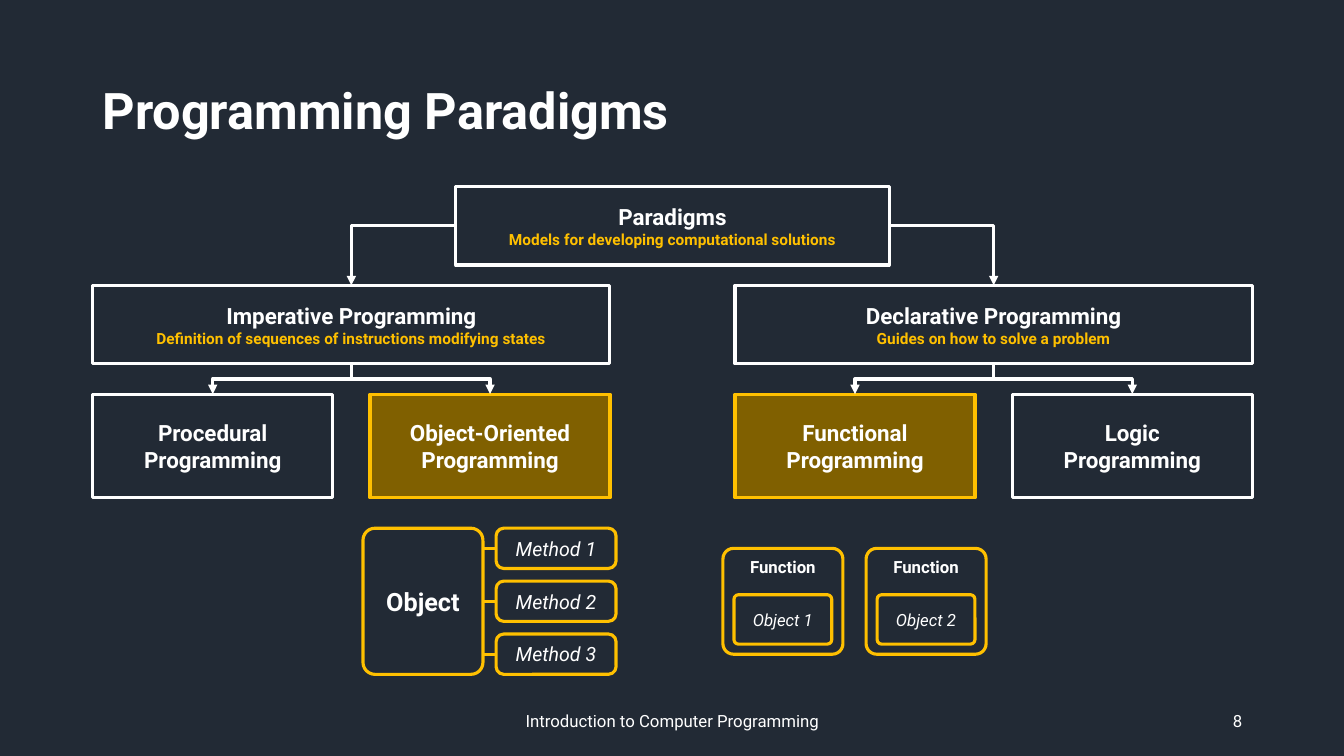
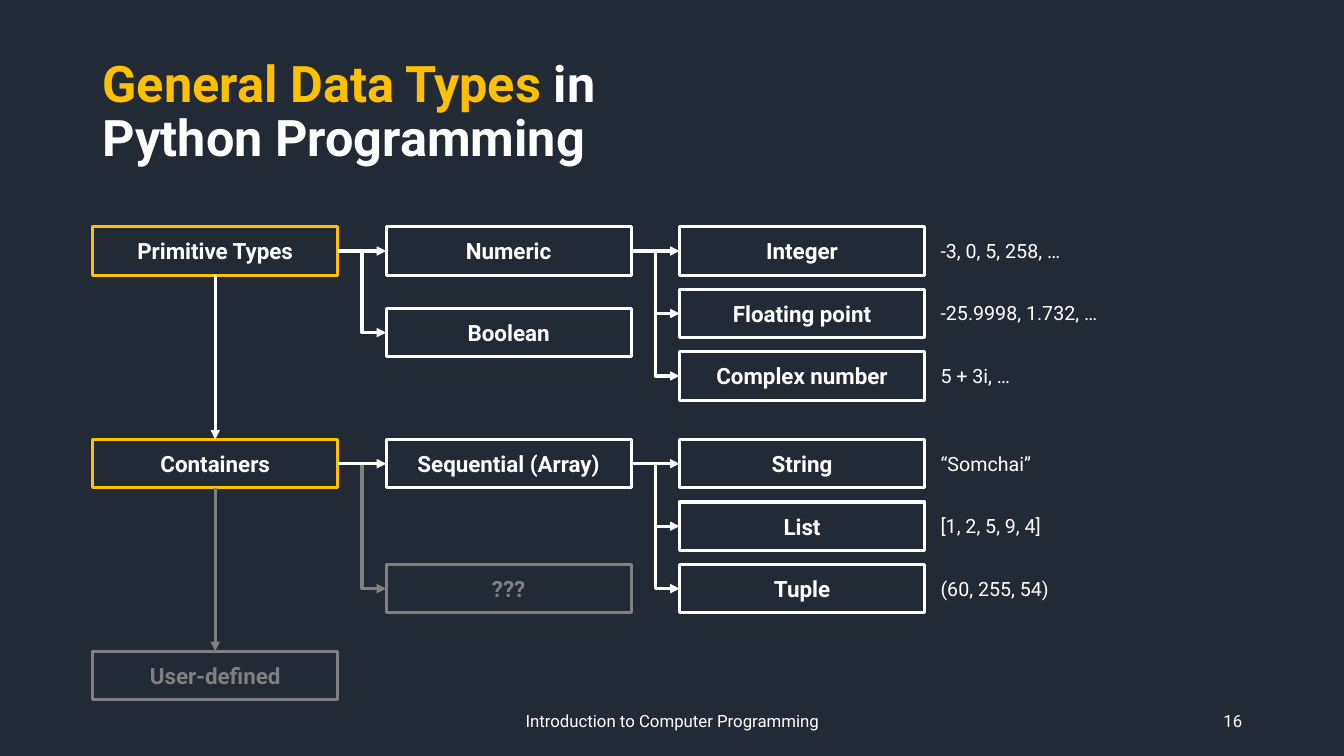
from dataclasses import dataclass

from pptx import Presentation
from pptx.dml.color import RGBColor
from pptx.enum.shapes import MSO_CONNECTOR as Link, MSO_SHAPE as Shape
from pptx.enum.text import MSO_ANCHOR as Anchor, PP_ALIGN as Align
from pptx.oxml.ns import qn
from pptx.oxml.xmlchemy import OxmlElement
from pptx.util import Inches, Pt


@dataclass(frozen=True)
class Theme:
    font: str = "Roboto"
    ground: RGBColor = RGBColor(0x22, 0x2A, 0x35)
    white: RGBColor = RGBColor(0xFF, 0xFF, 0xFF)
    gold: RGBColor = RGBColor(0xFF, 0xC0, 0x00)
    dark_gold: RGBColor = RGBColor(0x80, 0x60, 0x00)
    grey: RGBColor = RGBColor(0x80, 0x80, 0x80)
    title: int = 36
    object: int = 18
    node: int = 16
    sample: int = 14
    small: int = 12
    caption: int = 11
    stroke: float = 2.25


theme = Theme()
TOP, LEFT, BOTTOM, RIGHT = range(4)
MARGIN = 0.92


def add_box(page, at, paras, line=None, fill=None, shape=None, radius=None,
            align=Align.CENTER, anchor=Anchor.MIDDLE, spacing=None):
    """Paragraphs are lists of (text, size, colour, style); without a shape it is a text box."""
    place = [Inches(length) for length in at]
    if shape is None:
        box = page.shapes.add_textbox(*place)
    else:
        box = page.shapes.add_shape(shape, *place)
        box.shadow.inherit = False
        box.line.color.rgb = line
        box.line.width = Pt(theme.stroke)
        if fill is None:
            box.fill.background()
        else:
            box.fill.solid()
            box.fill.fore_color.rgb = fill
        if radius is not None:
            box.adjustments[0] = radius
    frame = box.text_frame
    frame.word_wrap = True
    frame.vertical_anchor = anchor
    for index, spans in enumerate(paras):
        para = frame.add_paragraph() if index else frame.paragraphs[0]
        para.alignment = align
        para.line_spacing = spacing
        for text, size, color, style in spans:
            if text == "\n":
                para.add_line_break()
                continue
            span = para.add_run()
            span.text = text
            span.font.name = theme.font
            span.font.size = Pt(size)
            span.font.color.rgb = color
            span.font.bold = style == "bold"
            span.font.italic = style == "italic"
    return box


def add_arrow(page, start, start_side, end, end_side, color=theme.white):
    """Join two boxes, choosing a straight, L-shaped or Z-shaped arrow from their sides."""
    arrow = page.shapes.add_connector(Link.ELBOW, 0, 0, 0, 0)
    arrow.begin_connect(start, start_side)
    arrow.end_connect(end, end_side)
    dx, dy = arrow.end_x - arrow.begin_x, arrow.end_y - arrow.begin_y
    props = arrow._element.spPr
    geometry = props.find(qn("a:prstGeom"))
    if dx == 0 or dy == 0:
        geometry.set("prst", "line")
    elif start_side in (LEFT, RIGHT) and end_side == TOP:
        geometry.set("prst", "bentConnector2")
    elif start_side == BOTTOM:
        # A downward Z is a sideways Z turned a quarter about its centre
        center_x, center_y = arrow.begin_x + dx // 2, arrow.begin_y + dy // 2
        arrow.width, arrow.height = dy, abs(dx)
        arrow.left, arrow.top = center_x - dy // 2, center_y - abs(dx) // 2
        turn = props.find(qn("a:xfrm"))
        turn.set("rot", str((270 if dx > 0 else 90) * 60000))
        turn.set("flipH", "1" if dx > 0 else "0")
    arrow.line.color.rgb = color
    arrow.line.width = Pt(theme.stroke)
    head = OxmlElement("a:tailEnd")
    head.set("type", "triangle")
    props.find(qn("a:ln")).append(head)
    props.append(OxmlElement("a:effectLst"))
    return arrow


deck = Presentation()
deck.slide_width, deck.slide_height = Inches(13.33), Inches(7.5)

# Shared background, title and footer
headings = [
    ("8", [("Programming Paradigms", theme.title, theme.white, "bold")]),
    ("16", [("General Data Types ", theme.title, theme.gold, "bold"),
            ("in", theme.title, theme.white, "bold"),
            ("\n", theme.title, theme.white, "bold"),
            ("Python Programming", theme.title, theme.white, "bold")]),
]
pages = []
for number, title in headings:
    page = deck.slides.add_slide(deck.slide_layouts[6])
    page.background.fill.solid()
    page.background.fill.fore_color.rgb = theme.ground
    add_box(page, (MARGIN, 0.4, 11.5, 1.45), [title], align=Align.LEFT, spacing=0.9)
    for left, width, text, align in [
        (4.42, 4.5, "Introduction to Computer Programming", Align.CENTER),
        (9.42, 3, number, Align.RIGHT),
    ]:
        add_box(page, (left, 6.95, width, 0.4),
                [[(text, theme.small, theme.white, "")]], align=align)
    pages.append(page)
paradigm_page, types_page = pages

# Paradigms: root and two families
families = []
for left, top, width, name, meaning in [
    (4.52, 1.85, 4.3, "Paradigms", "Models for developing computational solutions"),
    (MARGIN, 2.83, 5.13, "Imperative Programming",
     "Definition of sequences of instructions modifying states"),
    (7.29, 2.83, 5.13, "Declarative Programming", "Guides on how to solve a problem"),
]:
    families.append(add_box(
        paradigm_page, (left, top, width, 0.78),
        [[(name, theme.node, theme.white, "bold")],
         [(meaning, theme.caption, theme.gold, "bold")]],
        theme.white, shape=Shape.RECTANGLE))
root, imperative, declarative = families
add_arrow(paradigm_page, root, LEFT, imperative, TOP)
add_arrow(paradigm_page, root, RIGHT, declarative, TOP)

# Paradigms: members of each family
for family, left, name, chosen in [
    (imperative, MARGIN, "Procedural", False),
    (imperative, MARGIN + 2.75, "Object-Oriented", True),
    (declarative, 7.29, "Functional", True),
    (declarative, 7.29 + 2.75, "Logic", False),
]:
    member = add_box(
        paradigm_page, (left, 3.91, 2.38, 1.03),
        [[(word, theme.node, theme.white, "bold")] for word in (name, "Programming")],
        theme.gold if chosen else theme.white,
        theme.dark_gold if chosen else None, Shape.RECTANGLE)
    add_arrow(paradigm_page, family, BOTTOM, member, TOP)

# Object with its methods
object_left, object_top, object_width, object_height = 3.6, 5.24, 1.19, 1.45
method_height = 0.4
object_box = add_box(
    paradigm_page, (object_left, object_top, object_width, object_height),
    [[("Object", theme.object, theme.white, "bold")]],
    theme.gold, shape=Shape.ROUNDED_RECTANGLE, radius=0.1)
for index in range(3):
    top = object_top + index * (object_height - method_height) / 2
    method = add_box(
        paradigm_page, (4.92, top, 1.19, method_height),
        [[(f"Method {index + 1}", theme.sample, theme.white, "italic")]],
        theme.gold, shape=Shape.ROUNDED_RECTANGLE, radius=0.19)
    middle = Inches(top + method_height / 2)
    tie = paradigm_page.shapes.add_connector(
        Link.STRAIGHT, Inches(4.92), middle, Inches(object_left + object_width), middle)
    tie.begin_connect(method, LEFT)
    if index == 1:
        tie.end_connect(object_box, RIGHT)
    tie.line.color.rgb = theme.gold
    tie.line.width = Pt(theme.stroke)
    tie._element.spPr.append(OxmlElement("a:effectLst"))

# Functions, each holding an object
for index in range(2):
    left = 7.17 + 1.42 * index
    add_box(paradigm_page, (left, 5.44, 1.19, 1.05),
            [[("Function", theme.small, theme.white, "bold")]],
            theme.gold, shape=Shape.ROUNDED_RECTANGLE, radius=0.1, anchor=Anchor.TOP)
    add_box(paradigm_page, (left + 0.11, 5.9, 0.97, 0.49),
            [[(f"Object {index + 1}", theme.small, theme.white, "italic")]],
            theme.gold, shape=Shape.ROUNDED_RECTANGLE, radius=0.09)

# Data types: boxes on three columns
node_width, node_height, column_gap, row_step = 2.43, 0.48, 0.48, 0.62
first_row, second_row = 2.25, 4.36
nodes = {}
for column, top, name, line, color in [
    (0, first_row, "Primitive Types", theme.gold, theme.white),
    (0, second_row, "Containers", theme.gold, theme.white),
    (0, 6.46, "User-defined", theme.grey, theme.grey),
    (1, first_row, "Numeric", theme.white, theme.white),
    (1, 3.06, "Boolean", theme.white, theme.white),
    (1, second_row, "Sequential (Array)", theme.white, theme.white),
    (1, second_row + 2 * row_step, "???", theme.grey, theme.grey),
]:
    left = MARGIN + column * (node_width + column_gap)
    nodes[name] = add_box(
        types_page, (left, top, node_width, node_height),
        [[(name, theme.node, color, "bold")]], line, shape=Shape.RECTANGLE)

# Data types: arrows between kinds, grey ones beneath white ones
for start, start_side, end, end_side, color in [
    ("Containers", RIGHT, "???", LEFT, theme.grey),
    ("Containers", BOTTOM, "User-defined", TOP, theme.grey),
    ("Primitive Types", BOTTOM, "Containers", TOP, theme.white),
    ("Primitive Types", RIGHT, "Numeric", LEFT, theme.white),
    ("Primitive Types", RIGHT, "Boolean", LEFT, theme.white),
    ("Containers", RIGHT, "Sequential (Array)", LEFT, theme.white),
]:
    add_arrow(types_page, nodes[start], start_side, nodes[end], end_side, color)

# Data types: concrete types with sample values
for parent, first_top, leaves in [
    ("Numeric", first_row, [("Integer", "-3, 0, 5, 258, …"),
                            ("Floating point", "-25.9998, 1.732, …"),
                            ("Complex number", "5 + 3i, …")]),
    ("Sequential (Array)", second_row, [("String", "“Somchai”"),
                                        ("List", "[1, 2, 5, 9, 4]"),
                                        ("Tuple", "(60, 255, 54)")]),
]:
    for index, (name, sample) in enumerate(leaves):
        top = first_top + index * row_step
        leaf = add_box(
            types_page,
            (MARGIN + 2 * (node_width + column_gap), top, node_width, node_height),
            [[(name, theme.node, theme.white, "bold")]],
            theme.white, shape=Shape.RECTANGLE)
        add_arrow(types_page, nodes[parent], RIGHT, leaf, LEFT)
        add_box(types_page, (9.23, top + 0.07, 1.79, 0.34),
                [[(sample, theme.sample, theme.white, "")]],
                align=Align.LEFT, anchor=Anchor.TOP)

deck.save("out.pptx")
